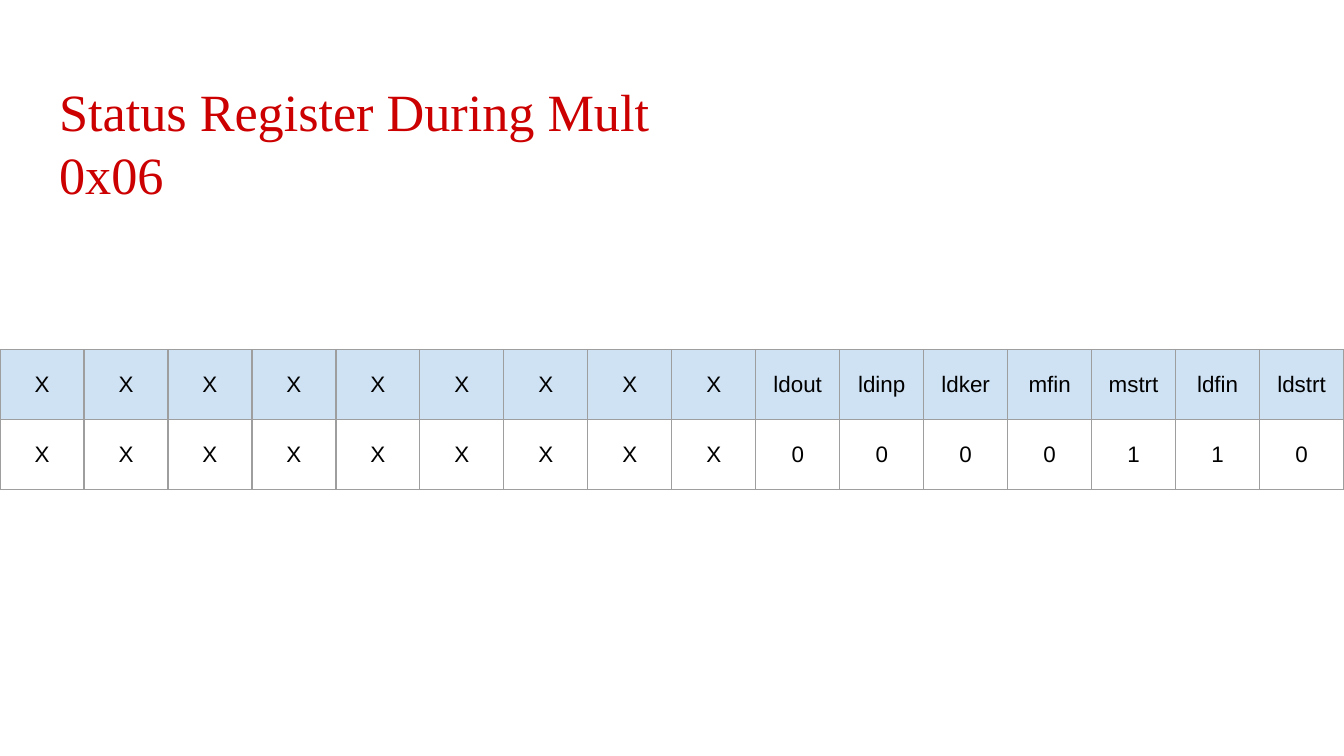
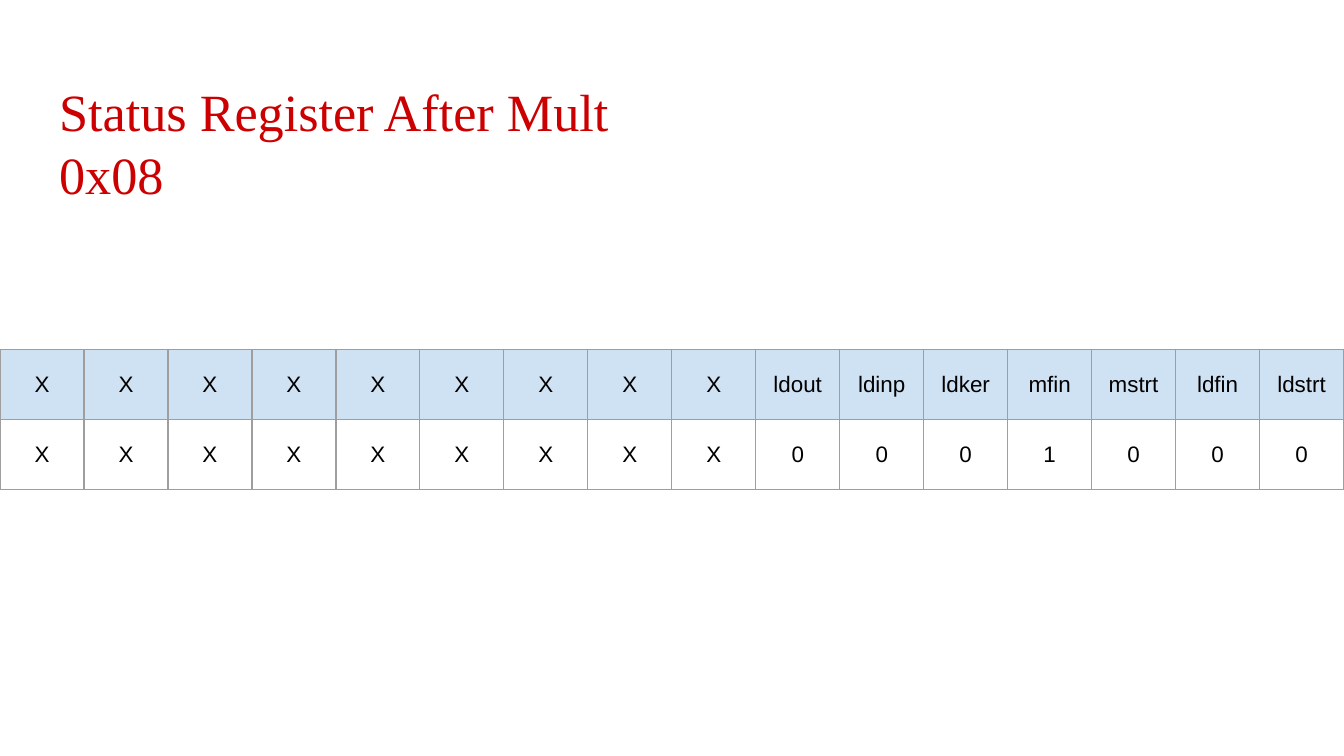
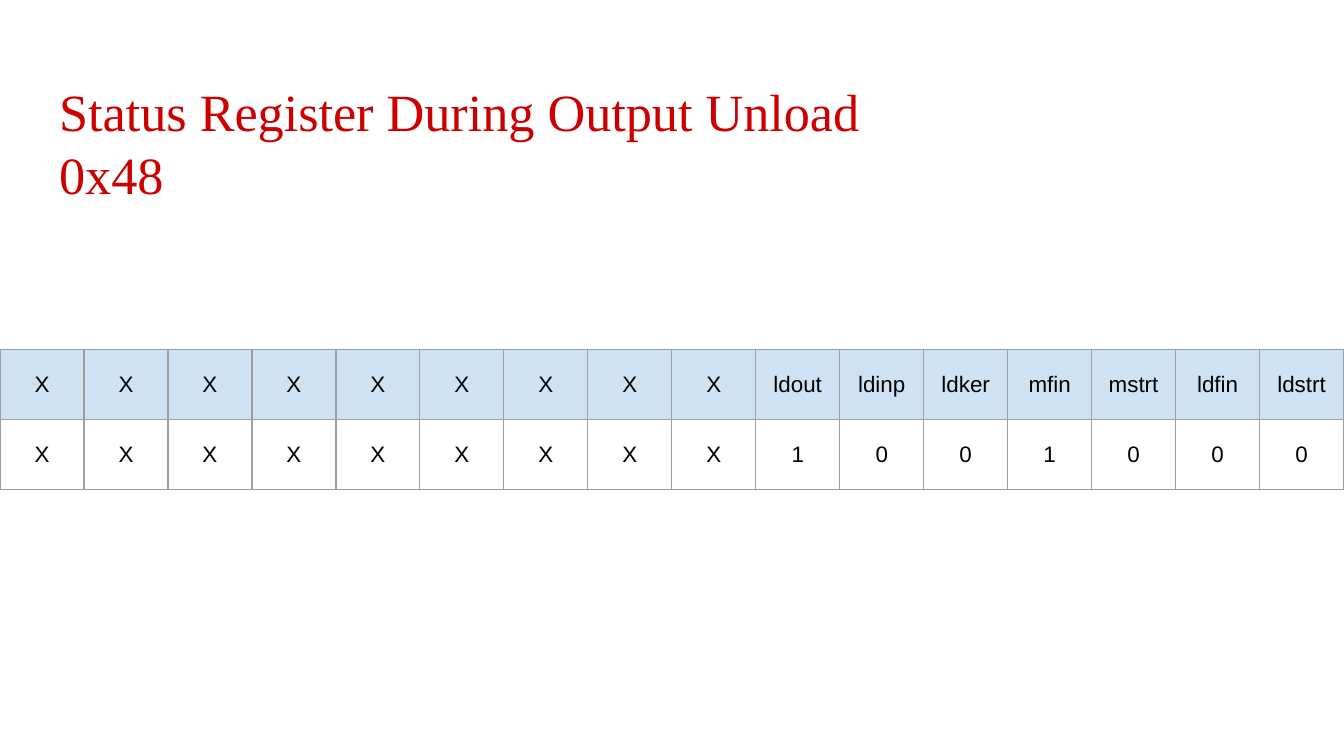
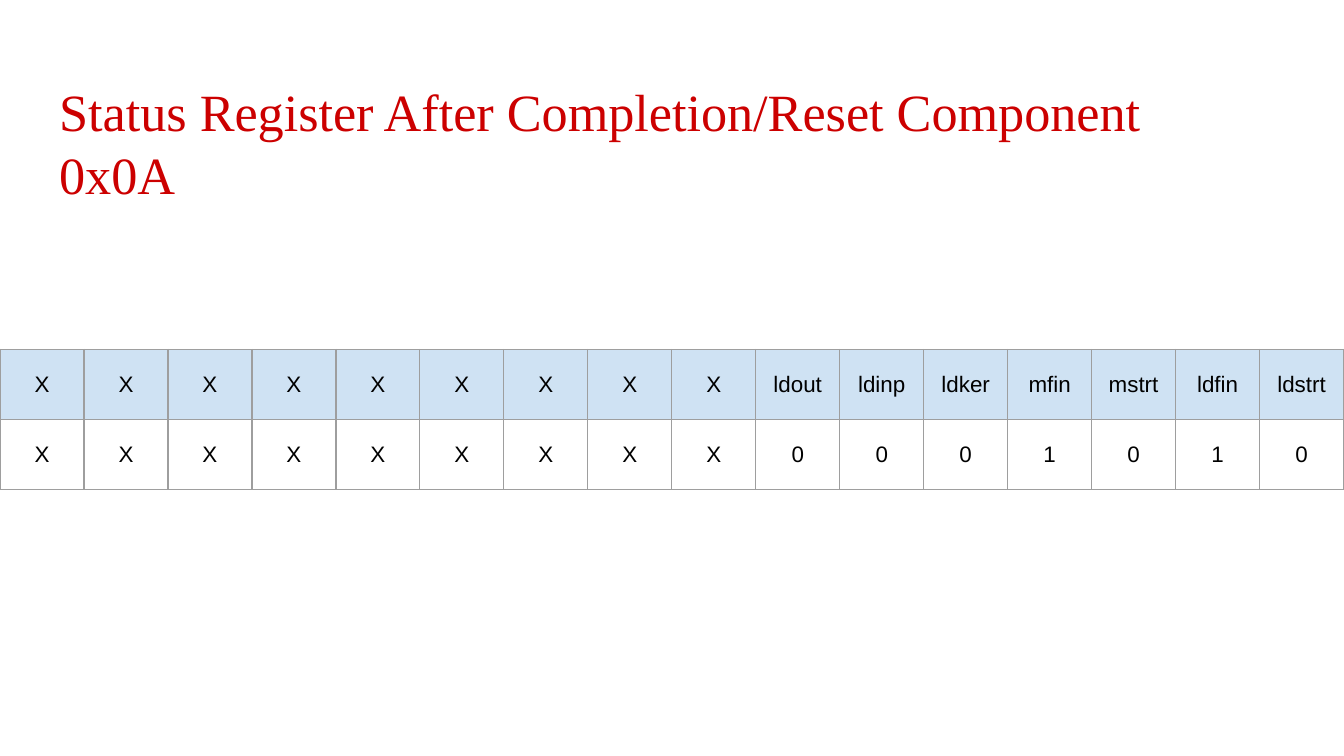
from lxml import etree
from pptx import Presentation
from pptx.dml.color import RGBColor
from pptx.enum.text import MSO_ANCHOR, MSO_AUTO_SIZE, PP_ALIGN
from pptx.oxml.ns import qn
from pptx.util import Inches, Pt

LEFT, CENTER = PP_ALIGN.LEFT, PP_ALIGN.CENTER
TOP, MIDDLE = MSO_ANCHOR.TOP, MSO_ANCHOR.MIDDLE
NO_AUTOFIT = MSO_AUTO_SIZE.NONE

# Shared colours and formats
RED = RGBColor(0xCC, 0x00, 0x00)
BLACK = RGBColor(0x00, 0x00, 0x00)
LIGHT_BLUE = RGBColor(0xCF, 0xE2, 0xF3)
GRAY = RGBColor(0x9E, 0x9E, 0x9E)

TITLE_BOX = {"left": Inches(0.34), "top": Inches(0.49),
             "width": Inches(9.32), "height": Inches(0.63)}
MARGINS = {"margin_left": Inches(0.1), "margin_right": Inches(0.1),
           "margin_top": Inches(0.1), "margin_bottom": Inches(0.1)}
TITLE_FRAME = {**MARGINS, "vertical_anchor": TOP, "word_wrap": True,
               "auto_size": NO_AUTOFIT}
TITLE_PARAGRAPH = {"alignment": LEFT, "line_spacing": 1.0, "space_before": Pt(0)}
TITLE_FONT = {"name": "Times New Roman", "size": Pt(28), "bold": False}
CELL_FORMAT = {**MARGINS, "vertical_anchor": MIDDLE}
CELL_FONT = {"name": "Arial", "size": Pt(12), "bold": False}

# Register layout: unused high bits, then the named flags
REGISTER_BITS = 16
FLAGS = ["ldout", "ldinp", "ldker", "mfin", "mstrt", "ldfin", "ldstrt"]
UNUSED = ["X"] * (REGISTER_BITS - len(FLAGS))
ROW_HEIGHT = Inches(0.52)

STATES = [
    ("Status Register During Mult", 0x06),
    ("Status Register After Mult", 0x08),
    ("Status Register During Output Unload", 0x48),
    ("Status Register After Completion/Reset Component", 0x0A),
]


def apply_format(target, values):
    for name, value in values.items():
        setattr(target, name, value)


def add_borders(cell):
    properties = cell._tc.get_or_add_tcPr()
    for position, side in enumerate(("a:lnL", "a:lnR", "a:lnT", "a:lnB")):
        line = etree.Element(qn(side), w=str(Pt(0.75)))
        fill = etree.SubElement(line, qn("a:solidFill"))
        etree.SubElement(fill, qn("a:srgbClr"), val=str(GRAY))
        properties.insert(position, line)


# Widescreen 16:9 page
presentation = Presentation()
presentation.slide_width = Inches(10)
presentation.slide_height = Inches(10) * 9 // 16
title_only = presentation.slide_layouts[5]

for heading, status in STATES:
    slide = presentation.slides.add_slide(title_only)

    # Title with the register value on its second line
    title = slide.shapes.title
    apply_format(title, TITLE_BOX)
    apply_format(title.text_frame, TITLE_FRAME)
    title.text_frame.text = f"{heading}\n0x{status:02X}"
    for paragraph in title.text_frame.paragraphs:
        apply_format(paragraph, TITLE_PARAGRAPH)
        for run in paragraph.runs:
            apply_format(run.font, TITLE_FONT)
            run.font.color.rgb = RED

    # Register table: flag names above their bits
    rows = [UNUSED + FLAGS, UNUSED + list(f"{status:0{len(FLAGS)}b}")]
    table = slide.shapes.add_table(
        len(rows), REGISTER_BITS, Inches(0), Inches(2.6),
        presentation.slide_width, ROW_HEIGHT * len(rows)).table
    table.first_row = False
    table.horz_banding = False
    for row_index, labels in enumerate(rows):
        table.rows[row_index].height = ROW_HEIGHT
        for column_index, label in enumerate(labels):
            cell = table.cell(row_index, column_index)
            apply_format(cell, CELL_FORMAT)
            cell.text = label
            paragraph = cell.text_frame.paragraphs[0]
            paragraph.alignment = CENTER
            font = paragraph.runs[0].font
            apply_format(font, CELL_FONT)
            font.color.rgb = BLACK
            if row_index == 0:
                cell.fill.solid()
                cell.fill.fore_color.rgb = LIGHT_BLUE
            else:
                cell.fill.background()
            add_borders(cell)

presentation.save("out.pptx")
